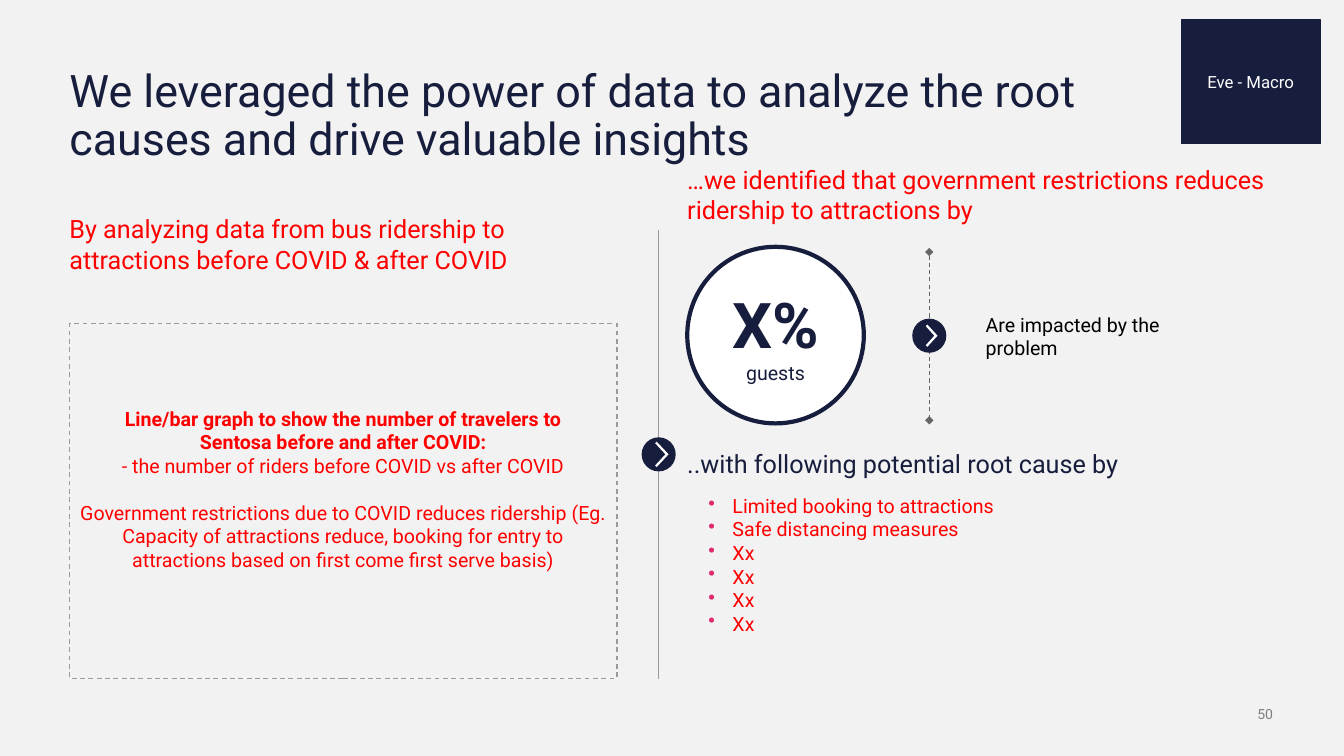
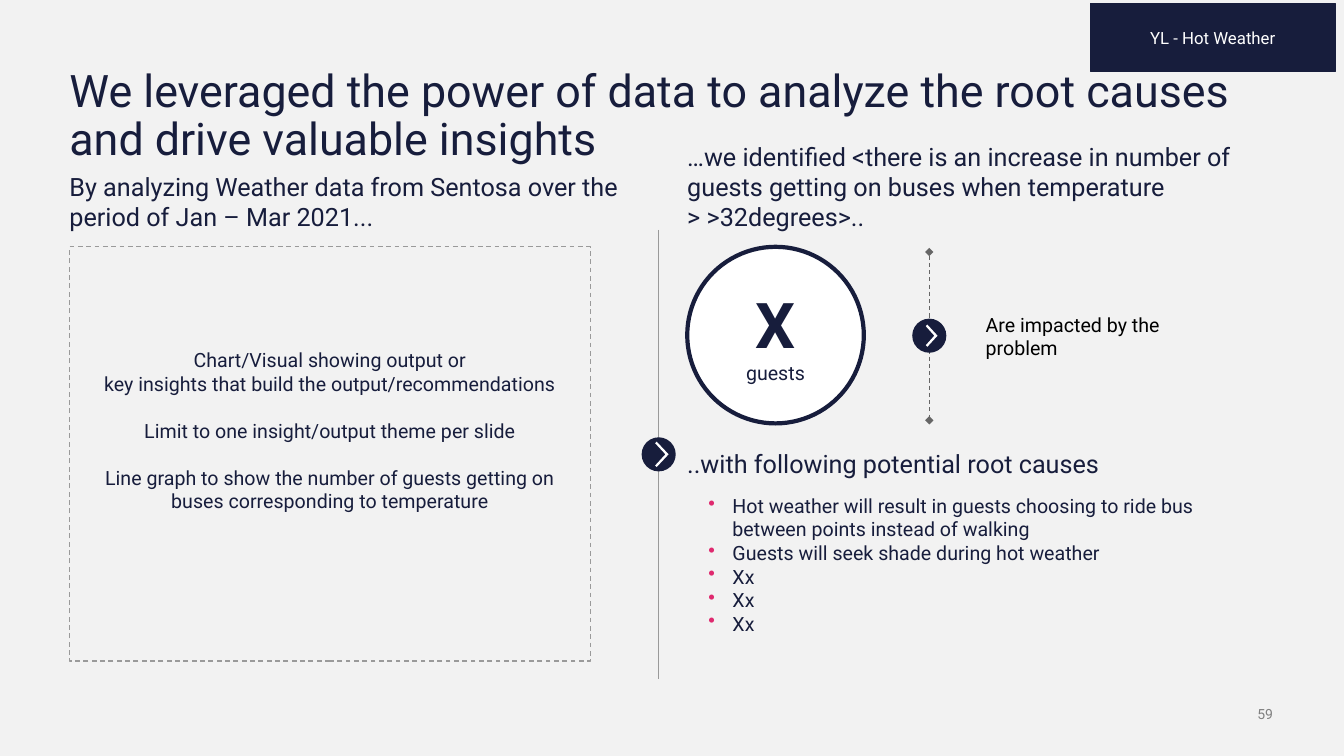
from dataclasses import dataclass

from lxml import etree
from pptx import Presentation
from pptx.dml.color import RGBColor
from pptx.enum import dml, shapes, text
from pptx.oxml.ns import qn
from pptx.util import Cm, Pt

SHAPE = shapes.MSO_SHAPE
ALIGN = text.PP_ALIGN
ANCHOR = text.MSO_ANCHOR


@dataclass(frozen=True)
class Theme:
    font: str = "Roboto"
    back: str = "F2F2F2"
    navy: str = "171D3C"
    red: str = "FF0000"
    pink: str = "DF2A6F"
    white: str = "FFFFFF"
    black: str = "000000"
    rule: str = "9A9A9A"
    dash: str = "666666"
    page: str = "808080"
    title: int = 32
    head: int = 18
    body: int = 14
    tag: int = 12
    small: int = 10
    figure: int = 45


T = Theme()
LEFT, RIGHT = 1.75, 17.32
PAD = 0.25
LINE = 16.8  # points taken by one line of body text


def rgb(code):
    return RGBColor.from_string(code)


def style(para, size, color, bold=False, align=None):
    font = para.font
    font.name, font.size, font.bold = T.font, Pt(size), bold
    font.color.rgb = rgb(color)
    if align is not None:
        para.alignment = align


def write(frame, lines, size, color, align=None, anchor=ANCHOR.TOP, pad=PAD):
    """Fill a text frame, one paragraph per line, and return the paragraphs."""
    frame.word_wrap = True
    frame.vertical_anchor = anchor
    frame.margin_left = frame.margin_right = Cm(pad)
    frame.margin_top = frame.margin_bottom = Cm(pad / 2)
    paras = []
    for line in lines:
        para = frame.add_paragraph() if paras else frame.paragraphs[0]
        para.text = line
        style(para, size, color, align=align)
        paras.append(para)
    return paras


def label(slide, box, lines, size, color, **more):
    frame = slide.shapes.add_textbox(*map(Cm, box)).text_frame
    return write(frame, lines, size, color, **more)


def paint(shape, fill=None, line=None, width=0.75):
    shape.shadow.inherit = False
    if fill:
        shape.fill.solid()
        shape.fill.fore_color.rgb = rgb(fill)
    else:
        shape.fill.background()
    if line:
        shape.line.color.rgb = rgb(line)
        shape.line.width = Pt(width)
    else:
        shape.line.fill.background()
    return shape


def block(slide, kind, box, **look):
    return paint(slide.shapes.add_shape(kind, *map(Cm, box)), **look)


def rule(slide, x, top, end, color):
    line = slide.shapes.add_connector(
        shapes.MSO_CONNECTOR.STRAIGHT, Cm(x), Cm(top), Cm(x), Cm(end))
    line.line.color.rgb = rgb(color)
    line.line.width = Pt(0.75)
    etree.SubElement(line._element.spPr, qn("a:effectLst"))
    return line


def tips(line):
    """Dash a line and put a diamond on both ends."""
    line.line.dash_style = dml.MSO_LINE.DASH
    for end in ("a:headEnd", "a:tailEnd"):
        etree.SubElement(line.line._get_or_add_ln(), qn(end), type="diamond")


def arrow(slide, x, y, tall):
    """Navy disc centred on x, y with a thin white chevron."""
    size, thin = 0.86, 0.04
    block(slide, SHAPE.OVAL, (x - size / 2, y - size / 2, size, size),
          fill=T.navy)
    half = tall / 2
    start, tip = x - 0.09, x - 0.09 + tall * 0.53
    points = [(start + thin, y - half), (tip, y), (start + thin, y + half),
              (start, y + half - thin), (tip - 2 * thin, y),
              (start, y - half + thin)]
    path = [(Cm(a), Cm(b)) for a, b in points]
    pen = slide.shapes.build_freeform(*path[0])
    pen.add_line_segments(path[1:], close=True)
    paint(pen.convert_to_shape(), fill=T.white)


def head(slide, x, bottom, width, words, color):
    """Heading whose last line rests on bottom."""
    tall = 2.4
    label(slide, (x, bottom - tall, width, tall), [words], T.head, color,
          anchor=ANCHOR.BOTTOM, pad=0)


def bullets(slide, lines, color):
    frame = slide.shapes.add_textbox(
        Cm(RIGHT), Cm(12.32), Cm(13.87), Cm(3.84)).text_frame
    for para in write(frame, lines, T.body, color):
        props = para._p.get_or_add_pPr()
        props.set("marL", str(Cm(0.89)))
        props.set("indent", str(Cm(-0.61)))
        tint = etree.Element(qn("a:buClr"))
        etree.SubElement(tint, qn("a:srgbClr"), val=T.pink)
        mark = etree.Element(qn("a:buChar"), char="•")
        for place, item in enumerate((tint, mark)):
            props.insert(place, item)


def chart(slide, box, lines, color, gaps, bold, spare):
    """Dashed chart area; gaps lists paragraphs set a line apart,
    spare counts the lines kept free below the text."""
    area = block(slide, SHAPE.RECTANGLE, box, line=T.rule, width=0.85)
    area.line.dash_style = dml.MSO_LINE.DASH
    frame = area.text_frame
    paras = write(frame, lines, T.body, color, ALIGN.CENTER, ANCHOR.MIDDLE)
    frame.margin_bottom += Pt(LINE * spare)
    for index in gaps:
        paras[index].space_before = Pt(LINE)
    for index in bold:
        paras[index].font.bold = True


def impact(slide, figure):
    ring = block(slide, SHAPE.OVAL, (RIGHT, 6.22, 4.45, 4.45),
                 fill=T.white, line=T.navy, width=3)
    paras = write(ring.text_frame, [figure, "guests"], T.body, T.navy,
                  ALIGN.CENTER, ANCHOR.MIDDLE)
    style(paras[0], T.figure, T.navy, bold=True)
    label(slide, (24.59, 7.75, 6.63, 1.45), ["Are impacted by the problem"],
          T.body, T.black, anchor=ANCHOR.MIDDLE)
    tips(rule(slide, 23.42, 6.35, 10.59, T.dash))
    arrow(slide, 23.42, 8.46, 0.56)


def tag(slide, box, words):
    shape = block(slide, SHAPE.RECTANGLE, box, fill=T.navy, line=T.navy)
    write(shape.text_frame, [words], T.tag, T.white, ALIGN.CENTER,
          ANCHOR.MIDDLE)


def insight(deck, page, wide, left, right, area, cause, causes, color,
            figure, badge):
    """One slide: data on the left, impact and root causes on the right."""
    slide = deck.slides.add_slide(deck.slide_layouts[6])
    label(slide, (31.01, 17.78, 1.07, 0.43), [page], T.small, T.page,
          align=ALIGN.RIGHT, anchor=ANCHOR.BOTTOM, pad=0)
    title = label(slide, (LEFT, 1.73, wide, 2.46),
                  ["We leveraged the power of data to analyze the root causes "
                   "and drive valuable insights"], T.title, T.navy, pad=0)
    title[0].line_spacing = 0.9
    head(slide, LEFT, *left, color)
    head(slide, RIGHT, *right, color)
    rule(slide, 16.6, 5.79, 17.12, T.rule)
    arrow(slide, 16.6, 11.45, 0.64)
    chart(slide, color=color, **area)
    head(slide, RIGHT, 12.07, 13.87, cause, T.navy)
    bullets(slide, causes, color)
    impact(slide, figure)
    tag(slide, *badge)


def main():
    deck = Presentation()
    deck.slide_width, deck.slide_height = Cm(33.87), Cm(19.05)
    back = deck.slide_master.background.fill
    back.solid()
    back.fore_color.rgb = rgb(T.back)

    insight(
        deck, "50", 27,
        left=(6.91, 14.12, "By analyzing data from bus ridership to "
              "attractions before COVID & after COVID"),
        right=(5.66, 15.01, "…we identified that government restrictions "
               "reduces ridership to attractions by"),
        area=dict(
            box=(LEFT, 8.15, 13.8, 8.94),
            lines=["Line/bar graph to show the number of travelers to\n"
                   "Sentosa before and after COVID:",
                   "- the number of riders before COVID vs after COVID",
                   "Government restrictions due to COVID reduces ridership "
                   "(Eg. Capacity of attractions reduce, booking for entry "
                   "to attractions based on first come first serve basis)"],
            gaps=[2], bold=[0], spare=1),
        cause="..with following potential root cause by",
        causes=["Limited booking to attractions", "Safe distancing measures"]
        + ["Xx"] * 4,
        color=T.red, figure="X%",
        badge=((29.77, 0.5, 3.5, 3.12), "Eve - Macro"))

    insight(
        deck, "59", 30.38,
        left=(5.84, 14.12, "By analyzing Weather data from Sentosa over the "
              "period of Jan – Mar 2021..."),
        right=(5.84, 13.87, "…we identified <there is an increase in number "
               "of guests getting on buses when temperature\n"
               "> >32degrees>.."),
        area=dict(
            box=(LEFT, 6.22, 13.13, 10.44),
            lines=["Chart/Visual showing output or",
                   "key insights that build the output/recommendations",
                   "Limit to one insight/output theme per slide",
                   "Line graph to show the number of guests getting on\n"
                   "buses corresponding to temperature"],
            gaps=[2, 3], bold=[], spare=2),
        cause="..with following potential root causes",
        causes=["Hot weather will result in guests choosing to ride bus "
                "between points instead of walking",
                "Guests will seek shade during hot weather"] + ["Xx"] * 3,
        color=T.navy, figure="X",
        badge=((27.48, 0.1, 6.17, 1.7), "YL - Hot Weather"))

    deck.save("out.pptx")


if __name__ == "__main__":
    main()
